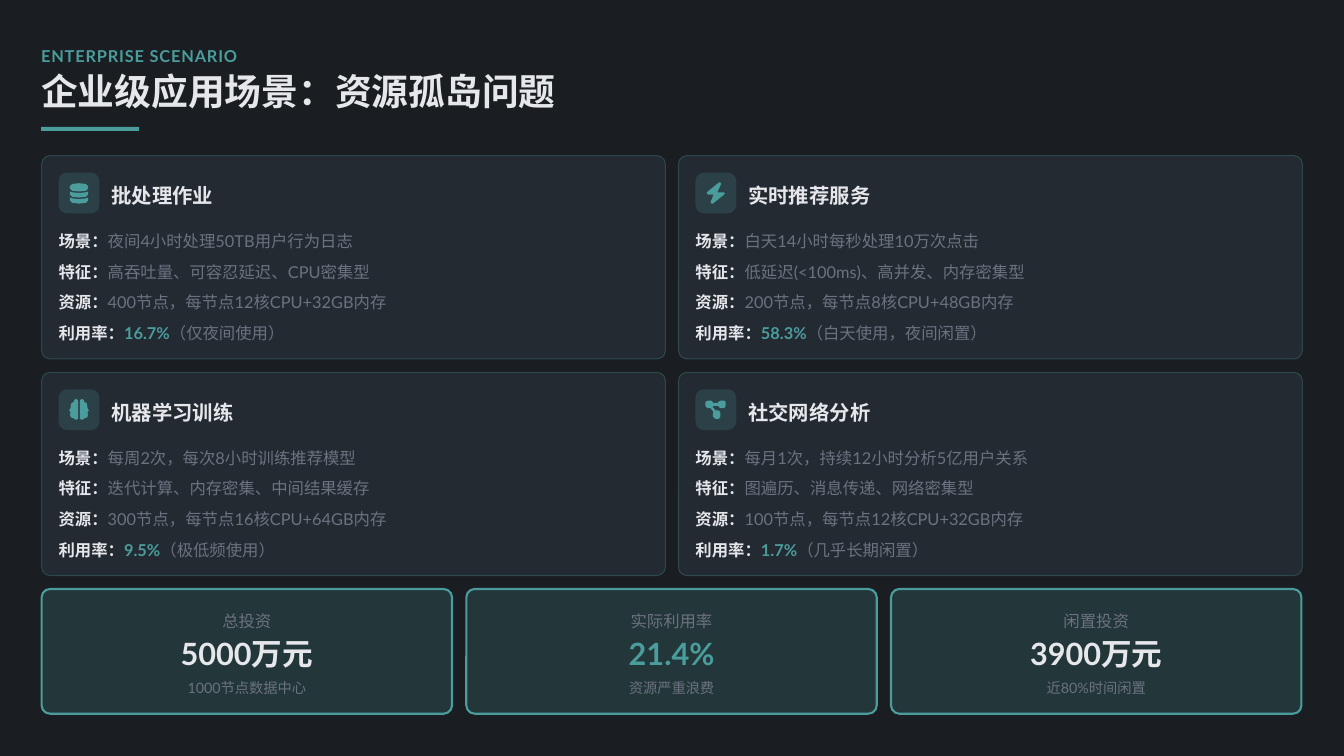
"""Build the slide on enterprise workloads and their resource silos."""
from pptx import Presentation
from pptx.dml.color import RGBColor
from pptx.enum.shapes import MSO_SHAPE as Shape
from pptx.enum.text import MSO_ANCHOR as Anchor, PP_ALIGN as Align
from pptx.oxml.ns import qn
from pptx.oxml.xmlchemy import OxmlElement
from pptx.util import Cm, Pt

NIGHT = RGBColor(0x1A, 0x1D, 0x21)
TEAL = RGBColor(0x4A, 0x9D, 0x9C)
SLATE = RGBColor(0x3D, 0x4A, 0x5C)
WHITE = RGBColor(0xE5, 0xE7, 0xEB)
GREY = RGBColor(0x6B, 0x72, 0x80)

deck = Presentation()
deck.slide_width, deck.slide_height = Cm(45.16), Cm(25.4)
page = deck.slides.add_slide(deck.slide_layouts[6])
page.background.fill.solid()
page.background.fill.fore_color.rgb = NIGHT


def write(*spans, left, top, width, height, size, spacing=1.3, align=Align.LEFT, tracking=0):
    box = page.shapes.add_textbox(Cm(left), Cm(top), Cm(width), Cm(height))
    frame = box.text_frame
    frame.word_wrap = True
    frame.vertical_anchor = Anchor.MIDDLE
    frame.margin_left = frame.margin_top = frame.margin_right = frame.margin_bottom = 0
    para = frame.paragraphs[0]
    para.alignment, para.line_spacing = align, spacing
    for text, color, bold in spans:
        span = para.add_run()
        span.text = text
        span.font.name, span.font.size, span.font.bold = "Lato", Pt(size), bold
        span.font.color.rgb = color
        if tracking:
            span.font._element.set("spc", str(tracking))


def add_panel(left, top, width, height, color, opacity, line_width=0, line_opacity=100):
    panel = page.shapes.add_shape(Shape.ROUNDED_RECTANGLE, Cm(left), Cm(top), Cm(width), Cm(height))
    panel.adjustments[0] = 0.28 / min(width, height)
    panel.shadow.inherit = False
    panel.fill.solid()
    panel.fill.fore_color.rgb = color
    if line_width:
        panel.line.color.rgb = TEAL
        panel.line.width = Pt(line_width)
    else:
        panel.line.fill.background()
    tints = list(panel._element.spPr.iter(qn("a:srgbClr")))
    for tint, percent in zip(tints, (opacity, line_opacity)):
        alpha = OxmlElement("a:alpha")
        alpha.set("val", str(percent * 1000))
        tint.append(alpha)


write(("ENTERPRISE SCENARIO", TEAL, True),
      left=1.38, top=1.38, width=42.7, height=0.82, size=15.6, tracking=80)
write(("企业级应用场景：资源孤岛问题", WHITE, True),
      left=1.38, top=2.46, width=43.03, height=1.38, size=35, spacing=0.9)
rule = page.shapes.add_shape(Shape.RECTANGLE, Cm(1.38), Cm(4.26), Cm(3.3), Cm(0.14))
rule.shadow.inherit = False
rule.fill.solid()
rule.fill.fore_color.rgb = TEAL
rule.line.fill.background()

disc = [(39, 25), (36, 26), (27, 27), (18, 26), (15, 25),
        (15, 29), (18, 32), (27, 33), (36, 32), (39, 29)]
database = [
    [(39, 21), (39, 18), (36, 15), (27, 14), (18, 15),
     (15, 18), (15, 21), (18, 24), (27, 25), (36, 24)],
    disc,
    [(x, y + 8) for x, y in disc],
]
bolt = [[(33, 13), (34, 15), (29, 26), (37, 26), (39, 27), (38, 29), (23, 41),
         (21, 41), (20, 39), (24, 29), (17, 29), (15, 28), (15, 26), (31, 13)]]
lobe = [(20, 16), (21, 14), (23, 13), (24, 13), (26, 15), (26, 39), (24, 40), (22, 40),
        (19, 38), (16, 37), (15, 33), (16, 31), (14, 28), (16, 24), (16, 22), (17, 18), (20, 17)]
brain = [lobe, [(54 - x, y) for x, y in lobe]]
network = [[(13, 17), (16, 15), (21, 15), (23, 17), (23, 18), (30, 18), (30, 17),
            (33, 15), (38, 15), (40, 17), (40, 22), (38, 25), (33, 25), (30, 22),
            (23, 22), (23, 24), (27, 28), (31, 28), (33, 31), (33, 36), (31, 39),
            (26, 39), (23, 36), (23, 31), (24, 30), (20, 25), (16, 25), (13, 22)]]

workloads = [
    ("批处理作业", database, "夜间4小时处理50TB用户行为日志", "高吞吐量、可容忍延迟、CPU密集型",
     "400节点，每节点12核CPU+32GB内存", "16.7%", "（仅夜间使用）"),
    ("实时推荐服务", bolt, "白天14小时每秒处理10万次点击", "低延迟(<100ms)、高并发、内存密集型",
     "200节点，每节点8核CPU+48GB内存", "58.3%", "（白天使用，夜间闲置）"),
    ("机器学习训练", brain, "每周2次，每次8小时训练推荐模型", "迭代计算、内存密集、中间结果缓存",
     "300节点，每节点16核CPU+64GB内存", "9.5%", "（极低频使用）"),
    ("社交网络分析", network, "每月1次，持续12小时分析5亿用户关系", "图遍历、消息传递、网络密集型",
     "100节点，每节点12核CPU+32GB内存", "1.7%", "（几乎长期闲置）"),
]
for index, (title, icon, scene, traits, resources, usage, remark) in enumerate(workloads):
    row, column = divmod(index, 2)
    left, top = 1.4 + 21.4 * column, 5.23 + 7.28 * row
    inner = left + 0.57
    add_panel(left, top, 20.96, 6.83, SLATE, 30, line_width=1, line_opacity=30)
    add_panel(inner, top + 0.57, 1.37, 1.37, TEAL, 20)

    outline = page.shapes.build_freeform(*icon[0][0], scale=Cm(0.0254))
    outline.add_line_segments(icon[0][1:])
    for contour in icon[1:]:
        outline.move_to(*contour[0])
        outline.add_line_segments(contour[1:])
    symbol = outline.convert_to_shape(Cm(inner), Cm(top + 0.57))
    symbol.shadow.inherit = False
    symbol.fill.solid()
    symbol.fill.fore_color.rgb = TEAL
    symbol.line.fill.background()

    write((title, WHITE, True),
          left=left + 2.34, top=top + 0.77, width=4.5, height=0.97, size=19.4, spacing=1.2)
    facts = [
        ("场景：", [(scene, GREY, False)]),
        ("特征：", [(traits, GREY, False)]),
        ("资源：", [(resources, GREY, False)]),
        ("利用率：", [(usage, TEAL, True), (remark, GREY, False)]),
    ]
    for line, (label, details) in enumerate(facts):
        write((label, WHITE, True), *details,
              left=inner, top=top + 2.36 + 1.03 * line, width=20.12, height=0.82, size=15.6)

totals = [
    ("总投资", "5000万元", WHITE, "1000节点数据中心"),
    ("实际利用率", "21.4%", TEAL, "资源严重浪费"),
    ("闲置投资", "3900万元", WHITE, "近80%时间闲置"),
]
for column, (label, value, color, remark) in enumerate(totals):
    left, top = 1.4 + 14.27 * column, 19.79
    add_panel(left, top, 13.79, 4.19, TEAL, 20, line_width=2)
    column_format = dict(left=left + 0.4, width=12.99, align=Align.CENTER)
    write((label, GREY, False), top=top + 0.58, height=0.82, size=15.6, **column_format)
    write((value, color, True), top=top + 1.55, height=1.24, size=29.2, spacing=1.0, **column_format)
    write((remark, GREY, False), top=top + 2.92, height=0.69, size=13.6, spacing=1.2, **column_format)

deck.save("out.pptx")
